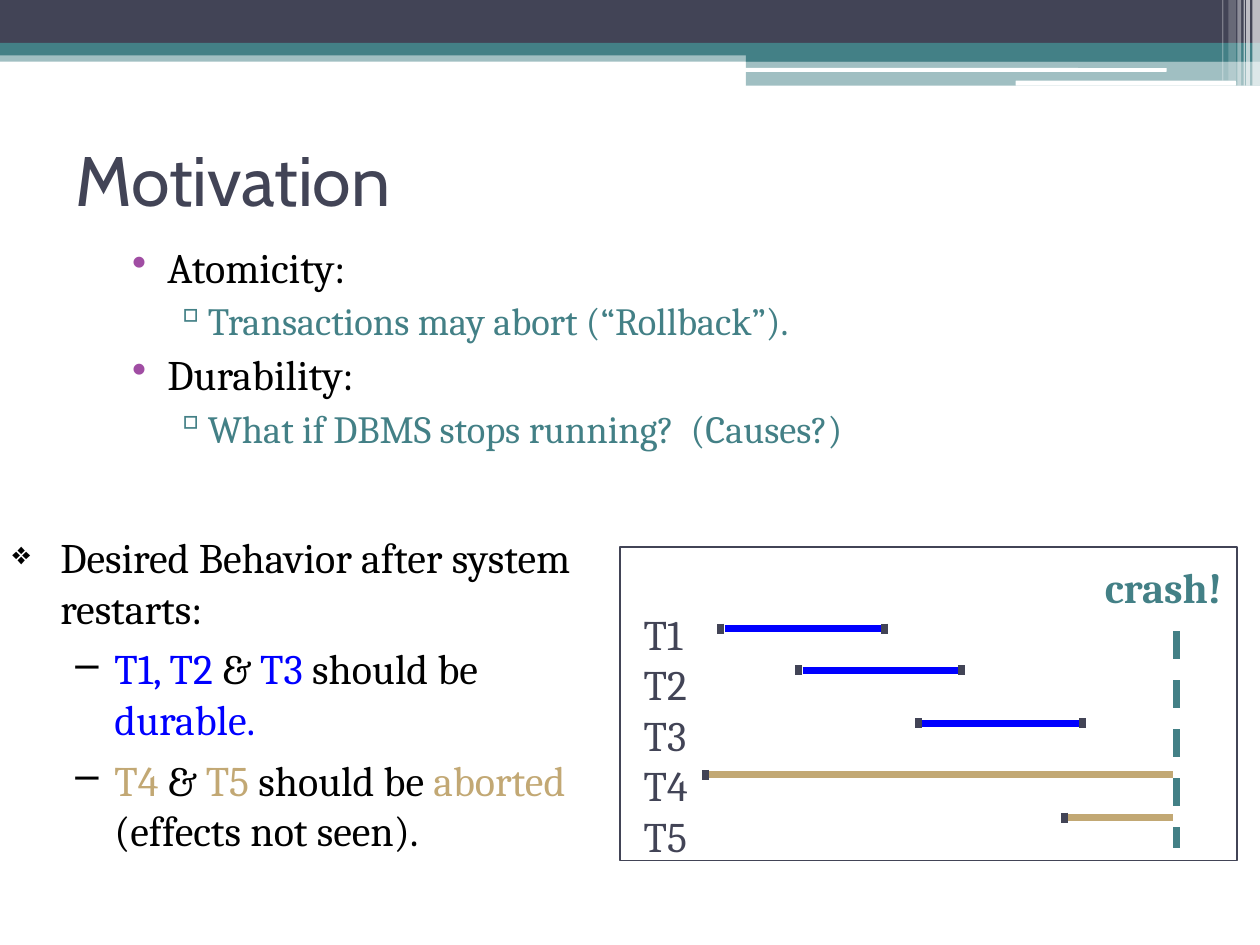
"""Build a slide on the motivation for crash recovery."""
from lxml import etree
from pptx import Presentation
from pptx import util as u
from pptx.dml.color import RGBColor
from pptx.enum import dml, shapes, text
from pptx.oxml import ns

Inches = u.Inches
NAVY = RGBColor(0x42, 0x44, 0x56)
TEAL = RGBColor(0x43, 0x80, 0x86)
PURPLE = RGBColor(0xA0, 0x4D, 0xA3)
BLUE = RGBColor(0x00, 0x00, 0xFF)
TAN = RGBColor(0xC2, 0xA8, 0x74)
BLACK = RGBColor(0x00, 0x00, 0x00)
WHITE = RGBColor(0xFF, 0xFF, 0xFF)
RECT = shapes.MSO_SHAPE.RECTANGLE
ROUND = shapes.MSO_SHAPE.ROUNDED_RECTANGLE

BANDS = [
    (0, 0.4, 10, 0.09, TEAL, 50, RECT),
    (0, 0, 10, 0.34, NAVY, 100, RECT),
    (0, 0.34, 10, 0.1, TEAL, 100, RECT),
    (5.92, 0.39, 4.08, 0.1, TEAL, 100, RECT),
    (5.92, 0.48, 4.08, 0.2, TEAL, 50, RECT),
    (5.91, 0.54, 3.35, 0.03, WHITE, 100, ROUND),
    (8.06, 0.64, 1.75, 0.04, WHITE, 100, ROUND),
]
STRIPES = [
    (9.94, 0.06, 0.68, 65), (9.89, 0.03, 0.68, 65), (9.87, 0.01, 0.68, 60),
    (9.82, 0.03, 0.68, 40), (9.75, 0.06, 0.64, 20), (9.7, 0.01, 0.64, 30),
]
CRASH_X = 9.34
TRANSACTIONS = [
    (5.72, 7.02, 4.99, BLUE), (6.34, 7.63, 5.32, BLUE), (7.29, 8.59, 5.74, BLUE),
    (5.6, CRASH_X, 6.15, TAN), (8.45, CRASH_X, 6.49, TAN),
]
TOPIC = dict(level=0, margin=0.4, hang=0.28, mark="•", mark_color=PURPLE, before=3)
DETAIL = dict(level=1, margin=0.72, hang=0.27, mark="▫", mark_color=TEAL, before=3)
GOAL = dict(level=0, margin=0.38, hang=0.38, mark="❖", mark_color=BLACK, before=6, percent=75)
OUTCOME = dict(level=1, margin=0.81, hang=0.31, mark="–", mark_color=BLACK, before=6)


def add_band(page, left, top, width, height, color, opacity, kind):
    """Add a borderless filled band, see-through below 100 opacity."""
    band = page.shapes.add_shape(
        kind, Inches(left), Inches(top), Inches(width), Inches(height))
    band.shadow.inherit = False
    band.line.fill.background()
    band.fill.solid()
    band.fill.fore_color.rgb = color
    if opacity < 100:
        tint = band.fill._xPr.find(".//" + ns.qn("a:srgbClr"))
        etree.SubElement(tint, ns.qn("a:alpha"), val=str(opacity * 1000))


def add_frame(page, left, top, width, height):
    """Add the thin unfilled border of the timeline."""
    frame = page.shapes.add_shape(
        RECT, Inches(left), Inches(top), Inches(width), Inches(height))
    frame.shadow.inherit = False
    frame.fill.background()
    frame.line.color.rgb = NAVY
    frame.line.width = u.Pt(1)


def add_line(page, x1, y1, x2, y2, color, dash=None):
    """Add a thick straight line."""
    line = page.shapes.add_connector(
        shapes.MSO_CONNECTOR.STRAIGHT, Inches(x1), Inches(y1), Inches(x2), Inches(y2))
    line.line.color.rgb = color
    line.line.width = u.Pt(4)
    if dash:
        line.line.dash_style = dash
    etree.SubElement(line._element.spPr, ns.qn("a:effectLst"))


def add_transaction(page, start, end, y, color):
    """Add a transaction bar with a tick at each end before the crash."""
    add_line(page, start + 0.03, y, end - 0.03, y, color)
    for x in (start, end):
        if x < CRASH_X:
            add_line(page, x, y - 0.04, x, y + 0.04, NAVY)


def set_bullet(para, level, margin, hang, mark, mark_color, before, percent=100):
    """Give a paragraph a hanging bullet."""
    para.level = level
    para.space_before = u.Pt(before)
    props = para._p.get_or_add_pPr()
    props.set("marL", str(Inches(margin)))
    props.set("indent", str(-Inches(hang)))
    tint = etree.SubElement(props, ns.qn("a:buClr"))
    etree.SubElement(tint, ns.qn("a:srgbClr"), val=str(mark_color))
    etree.SubElement(props, ns.qn("a:buSzPct"), val=str(percent * 1000))
    etree.SubElement(props, ns.qn("a:buChar"), char=mark)


def add_text(page, left, top, width, height, paragraphs, face="Cambria",
             bold=False, wrap=True, anchor=text.MSO_ANCHOR.TOP):
    """Add a text box from (spans, size, bullet) paragraphs of (words, color) spans."""
    box = page.shapes.add_textbox(
        Inches(left), Inches(top), Inches(width), Inches(height))
    frame = box.text_frame
    frame.word_wrap = wrap
    frame.vertical_anchor = anchor
    for index, (spans, size, bullet) in enumerate(paragraphs):
        para = frame.paragraphs[0] if index == 0 else frame.add_paragraph()
        if bullet:
            set_bullet(para, **{**bullet, "before": bullet["before"] if index else 0})
        para.font.name = face
        para.font.size = u.Pt(size)
        para.font.bold = bold
        colors = {color for _, color in spans}
        if len(colors) == 1:
            para.font.color.rgb = spans[0][1]
        for words, color in spans:
            span = para.add_run()
            span.text = words
            if len(colors) > 1:
                span.font.color.rgb = color


def main():
    """Build and save the deck."""
    deck = Presentation()
    deck.slide_width, deck.slide_height = Inches(10), Inches(7.5)
    page = deck.slides.add_slide(deck.slide_layouts[6])
    for band in BANDS:
        add_band(page, *band)
    for left, width, height, opacity in STRIPES:
        add_band(page, left, 0, width, height, WHITE, opacity, RECT)

    add_text(page, 0.5, 0.83, 9, 1.17, [([("Motivation", NAVY)], 40, None)],
             face="Cabin", anchor=text.MSO_ANCHOR.MIDDLE)
    add_text(page, 0.83, 1.87, 6.67, 2.25, [
        ([("Atomicity:", BLACK)], 24, TOPIC),
        ([("Transactions may abort (“Rollback”).", TEAL)], 22, DETAIL),
        ([("Durability:", BLACK)], 24, TOPIC),
        ([("What if DBMS stops running?  (Causes?)", TEAL)], 22, DETAIL),
    ])
    add_text(page, 8.67, 4.41, 1.26, 0.5, [([("crash!", TEAL)], 24, None)],
             bold=True, wrap=False)
    add_text(page, 0, 4.17, 4.92, 2.92, [
        ([("Desired Behavior after system restarts:", BLACK)], 24, GOAL),
        ([("T1, T2 ", BLUE), ("& ", BLACK), ("T3", BLUE),
          (" should be ", BLACK), ("durable.", BLUE)], 24, OUTCOME),
        ([("T4", TAN), (" & ", BLACK), ("T5 ", TAN), ("should be ", BLACK),
          ("aborted", TAN), (" (effects not seen).", BLACK)], 24, OUTCOME),
    ])
    add_text(page, 5.01, 4.78, 0.59, 2.1,
             [([(f"T{number}", NAVY)], 24, None) for number in range(1, 6)], wrap=False)

    for transaction in TRANSACTIONS:
        add_transaction(page, *transaction)
    add_line(page, CRASH_X, 5.01, CRASH_X, 6.73, TEAL, dml.MSO_LINE.DASH)
    add_frame(page, 4.92, 4.34, 4.9, 2.49)
    deck.save("out.pptx")


if __name__ == "__main__":
    main()
